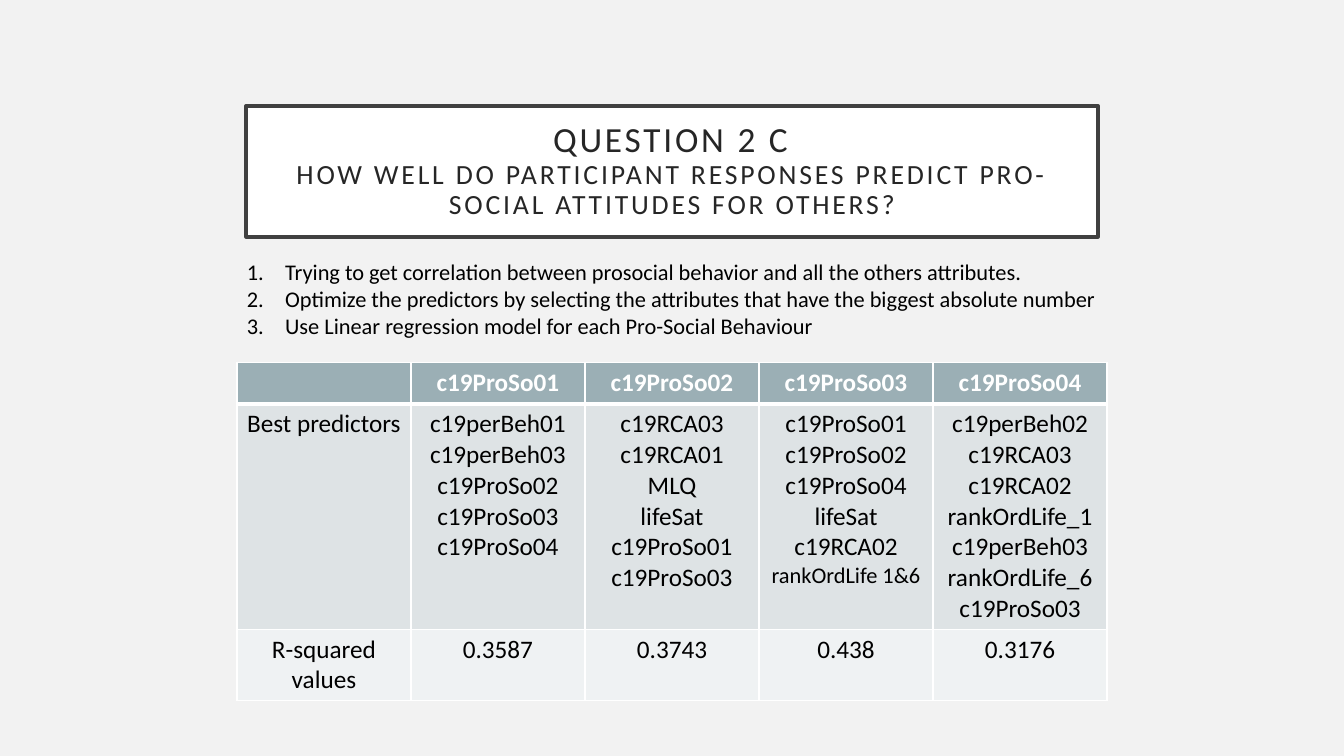
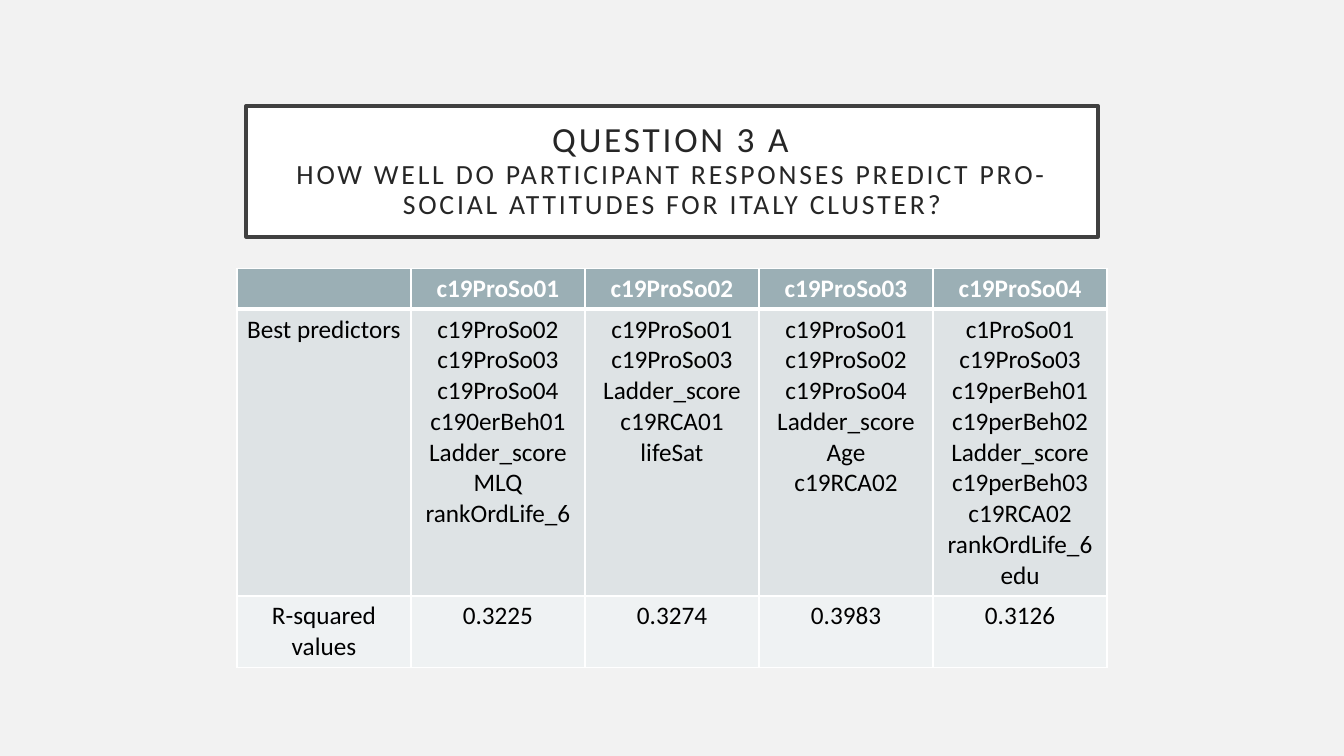
from copy import deepcopy
from dataclasses import dataclass

from lxml.etree import SubElement
from pptx import Presentation
from pptx.dml.color import RGBColor
from pptx.enum.text import MSO_ANCHOR, MSO_AUTO_SIZE, PP_ALIGN
from pptx.oxml.ns import qn
from pptx.util import Inches, Pt


@dataclass(frozen=True)
class Theme:
    font: str = "Calibri"
    background: str = "F2F2F2"
    white: str = "FFFFFF"
    frame: str = "404040"
    title: str = "262626"
    text: str = "000000"
    header: str = "9BAFB5"
    bands: tuple = ("DEE3E5", "EFF2F3")
    title_size: float = 25.2
    subtitle_size: float = 19.8
    table_size: float = 18
    small_size: float = 16
    thin: float = 1
    thick: float = 3


THEME = Theme()
TABLE_LEFT, TABLE_WIDTH = 2.35, 8.63
LINE_HEIGHT, CELL_PADDING = 0.305, 0.1

OUTCOMES = ["c19ProSo01", "c19ProSo02", "c19ProSo03", "c19ProSo04"]
STEPS = [
    "Trying to get correlation between prosocial behavior and all the others attributes.",
    "Optimize the predictors by selecting the attributes that have the biggest absolute number",
    "Use Linear regression model for each Pro-Social Behaviour",
]
OTHERS_PREDICTORS = [
    ["c19perBeh01", "c19perBeh03", "c19ProSo02", "c19ProSo03", "c19ProSo04"],
    ["c19RCA03", "c19RCA01", "MLQ", "lifeSat", "c19ProSo01", "c19ProSo03"],
    ["c19ProSo01", "c19ProSo02", "c19ProSo04", "lifeSat", "c19RCA02", "rankOrdLife 1&6"],
    ["c19perBeh02", "c19RCA03", "c19RCA02", "rankOrdLife_1", "c19perBeh03",
     "rankOrdLife_6", "c19ProSo03"],
]
ITALY_PREDICTORS = [
    ["c19ProSo02", "c19ProSo03", "c19ProSo04", "c190erBeh01", "Ladder_score", "MLQ",
     "rankOrdLife_6"],
    ["c19ProSo01", "c19ProSo03", "Ladder_score", "c19RCA01", "lifeSat"],
    ["c19ProSo01", "c19ProSo02", "c19ProSo04", "Ladder_score", "Age", "c19RCA02"],
    ["c1ProSo01", "c19ProSo03", "c19perBeh01", "c19perBeh02", "Ladder_score",
     "c19perBeh03", "c19RCA02", "rankOrdLife_6", "edu"],
]
SMALL_ENTRIES = {"rankOrdLife 1&6"}


def rgb(color):
    return RGBColor.from_string(color)


def set_all(target, values):
    for name, value in values.items():
        setattr(target, name, value)


def add_run(p, text, size, color, bold=False):
    r = p.add_run()
    r.text = text
    set_all(r.font, {"name": THEME.font, "size": Pt(size), "bold": bold})
    r.font.color.rgb = rgb(color)
    return r


def add_title_slide(prs, heading, question):
    s = prs.slides.add_slide(prs.slide_layouts[5])
    sp = s.shapes.title
    set_all(sp, {"left": Inches(2.44), "top": Inches(1.05),
                 "width": Inches(8.45), "height": Inches(1.3)})
    sp.fill.solid()
    sp.fill.fore_color.rgb = rgb(THEME.white)
    sp.line.color.rgb = rgb(THEME.frame)
    sp.line.width = Pt(2.5)
    tf = sp.text_frame
    margins = ("margin_left", "margin_top", "margin_right", "margin_bottom")
    set_all(tf, {"word_wrap": True, "auto_size": MSO_AUTO_SIZE.NONE,
                 "vertical_anchor": MSO_ANCHOR.MIDDLE,
                 **dict.fromkeys(margins, Inches(0.2))})
    p = tf.paragraphs[0]
    set_all(p, {"alignment": PP_ALIGN.CENTER, "line_spacing": 0.9})
    first = add_run(p, heading, THEME.title_size, THEME.title)
    p.add_line_break()
    second = add_run(p, question, THEME.subtitle_size, THEME.title)
    for r in (first, second):
        r.font._element.set("spc", "200")
    # The break needs the heading's size, or it takes the layout's larger one
    p._p.find(qn("a:br")).append(deepcopy(first.font._element))
    return s


def add_numbered_list(s, items):
    sp = s.shapes.add_textbox(Inches(2.35), Inches(2.51), Inches(8.72), Inches(0.91))
    tf = sp.text_frame
    tf.word_wrap = True
    for i, item in enumerate(items):
        p = tf.paragraphs[0] if i == 0 else tf.add_paragraph()
        p.alignment = PP_ALIGN.JUSTIFY
        pPr = p._p.get_or_add_pPr()
        pPr.set("marL", str(Inches(0.38)))
        pPr.set("indent", str(-Inches(0.38)))
        SubElement(pPr, qn("a:buFont"), typeface="+mj-lt")
        SubElement(pPr, qn("a:buAutoNum"), type="arabicPeriod")
        add_run(p, item, THEME.small_size, THEME.text)


def set_borders(cell, top, bottom):
    """Draw white borders; call before the fill, which must follow them in the XML."""
    tcPr = cell._tc.get_or_add_tcPr()
    widths = {"lnL": THEME.thin, "lnR": THEME.thin, "lnT": top, "lnB": bottom}
    for tag, width in widths.items():
        ln = SubElement(tcPr, qn(f"a:{tag}"), w=str(Pt(width)))
        SubElement(SubElement(ln, qn("a:solidFill")), qn("a:srgbClr"), val=THEME.white)


def fill_cell(cell, lines, fill, color, bold):
    cell.fill.solid()
    cell.fill.fore_color.rgb = rgb(fill)
    tf = cell.text_frame
    for i, line in enumerate(lines):
        p = tf.paragraphs[0] if i == 0 else tf.add_paragraph()
        p.alignment = PP_ALIGN.CENTER
        size = THEME.small_size if line in SMALL_ENTRIES else THEME.table_size
        add_run(p, line, size, color, bold)


def add_predictor_table(s, top, predictors, r_squared):
    rows = [
        [[]] + [[name] for name in OUTCOMES],
        [["Best predictors"]] + predictors,
        [["R-squared values"]] + [[value] for value in r_squared],
    ]
    line_counts = [1, max(map(len, predictors)), 2]
    heights = [n * LINE_HEIGHT + CELL_PADDING for n in line_counts]
    columns = len(rows[0])
    table = s.shapes.add_table(len(rows), columns, Inches(TABLE_LEFT), Inches(top),
                               Inches(TABLE_WIDTH), Inches(sum(heights))).table
    table.horz_banding = False
    for column in table.columns:
        column.width = Inches(TABLE_WIDTH / columns)
    fills = (THEME.header, *THEME.bands)
    for i, row in enumerate(rows):
        table.rows[i].height = Inches(heights[i])
        is_header = i == 0
        for j, lines in enumerate(row):
            cell = table.cell(i, j)
            set_borders(cell, THEME.thick if i == 1 else THEME.thin,
                        THEME.thick if is_header else THEME.thin)
            fill_cell(cell, lines, fills[i],
                      THEME.white if is_header else THEME.text, is_header)


def main():
    prs = Presentation()
    set_all(prs, {"slide_width": Inches(13.33), "slide_height": Inches(7.5)})
    background = prs.slide_master.background.fill
    background.solid()
    background.fore_color.rgb = rgb(THEME.background)

    question = "HOW WELL DO PARTICIPANT RESPONSES PREDICT PRO-SOCIAL ATTITUDES FOR "
    s = add_title_slide(prs, "QUESTION 2 C", question + "OTHERS?")
    add_predictor_table(s, 3.6, OTHERS_PREDICTORS, ["0.3587", "0.3743", "0.438", "0.3176"])
    add_numbered_list(s, STEPS)

    s = add_title_slide(prs, "QUESTION 3 A", question + "ITALY CLUSTER?")
    add_predictor_table(s, 2.66, ITALY_PREDICTORS, ["0.3225", "0.3274", "0.3983", "0.3126"])

    prs.save("out.pptx")


if __name__ == "__main__":
    main()
